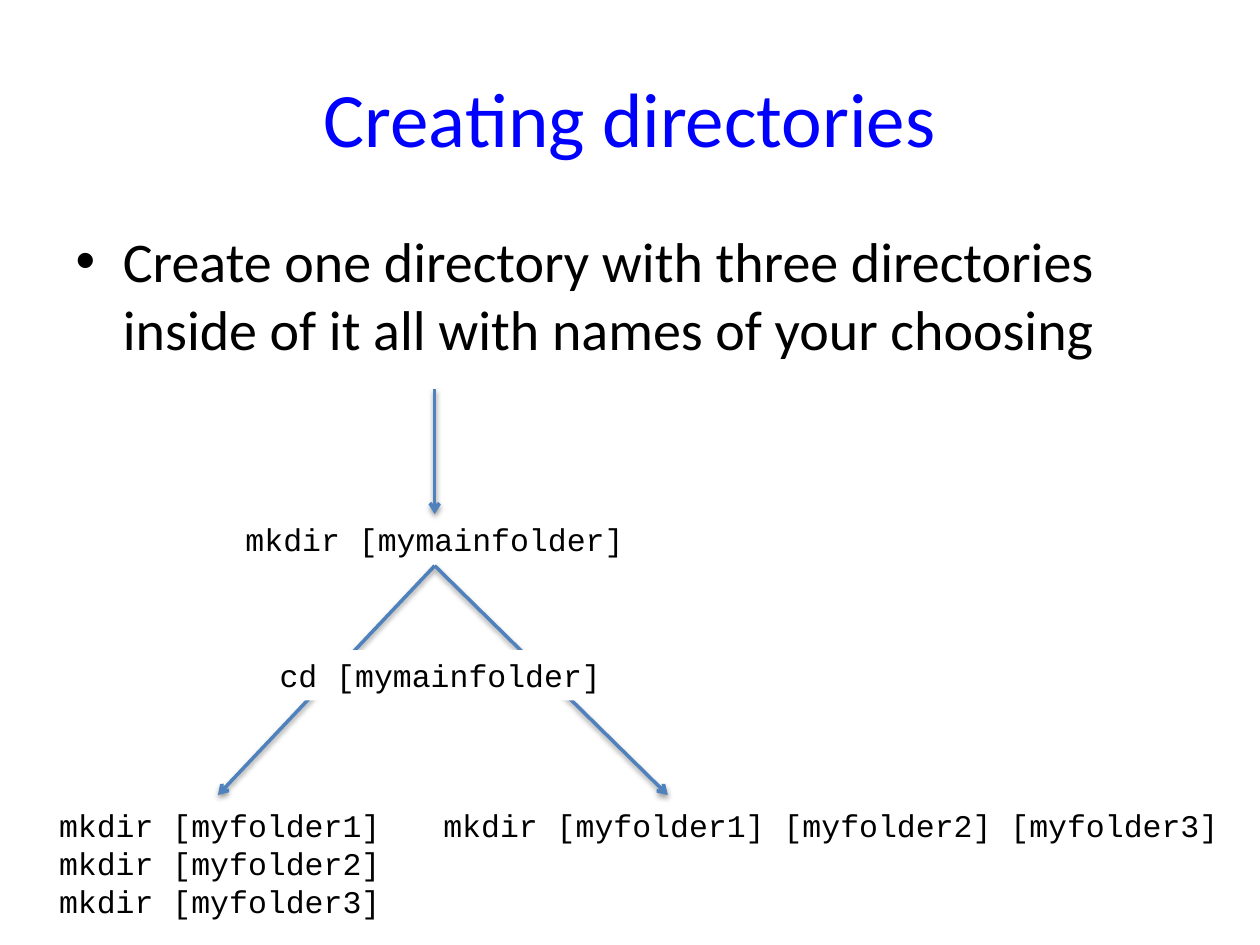
"""Build a slide on creating directories with a small command tree."""
from dataclasses import dataclass

from lxml import etree
from pptx import Presentation
from pptx import util as u
from pptx.dml.color import RGBColor
from pptx.enum import shapes, text
from pptx.oxml.ns import qn


@dataclass(frozen=True)
class Theme:
    """Colours, fonts and type sizes of the slide."""
    title: str = "0000FF"
    ink: str = "000000"
    paper: str = "FFFFFF"
    line: str = "4F81BD"
    sans: str = "Calibri"
    mono: str = "Courier New"
    head: int = 44
    body: int = 32
    code: int = 18


THEME = Theme()


def add_run(par, words, font, size, hue):
    """Add one formatted run to a paragraph."""
    run = par.add_run()
    run.text = words
    run.font.name = font
    run.font.size = u.Pt(size)
    run.font.color.rgb = RGBColor.from_string(hue)


def place(item, left, top, width, height):
    """Move and size an item in inches."""
    item.left, item.top = u.Inches(left), u.Inches(top)
    item.width, item.height = u.Inches(width), u.Inches(height)


def add_head(slide, words):
    """Fill the title placeholder."""
    head = slide.shapes.title
    place(head, 0.5, 0.3, 9, 1.25)
    head.text_frame.vertical_anchor = text.MSO_ANCHOR.MIDDLE
    par = head.text_frame.paragraphs[0]
    par.alignment = text.PP_ALIGN.CENTER
    add_run(par, words, THEME.sans, THEME.head, THEME.title)


def add_list(slide, words):
    """Fill the body placeholder with one bullet."""
    body = slide.placeholders[1]
    place(body, 0.5, 1.75, 9, 1.34)
    par = body.text_frame.paragraphs[0]
    add_run(par, words, THEME.sans, THEME.body, THEME.ink)


def add_code(group, lines, left, top, width, height=0.4, fill=None):
    """Add a box of commands, one paragraph a line."""
    box = group.shapes.add_textbox(
        *map(u.Inches, (left, top, width, height)))
    if fill:
        box.fill.solid()
        box.fill.fore_color.rgb = RGBColor.from_string(fill)
    frame = box.text_frame
    frame.word_wrap = False
    frame.auto_size = text.MSO_AUTO_SIZE.SHAPE_TO_FIT_TEXT
    for i, line in enumerate(lines):
        par = frame.add_paragraph() if i else frame.paragraphs[0]
        add_run(par, line, THEME.mono, THEME.code, THEME.ink)


def add_shade(item):
    """Give a connector a soft shadow below it."""
    props = item._element.spPr
    effect = etree.SubElement(props, qn("a:effectLst"))
    shade = etree.SubElement(
        effect, qn("a:outerShdw"), blurRad=str(u.Pt(3.1)),
        dist=str(u.Pt(1.6)), dir="5400000", rotWithShape="0")
    hue = etree.SubElement(shade, qn("a:srgbClr"), val=THEME.ink)
    etree.SubElement(hue, qn("a:alpha"), val="38000")


def add_arrow(group, start, end):
    """Add a straight arrow from start to end."""
    arrow = group.shapes.add_connector(
        shapes.MSO_CONNECTOR.STRAIGHT, *map(u.Inches, (*start, *end)))
    arrow.line.color.rgb = RGBColor.from_string(THEME.line)
    arrow.line.width = u.Pt(2)
    etree.SubElement(arrow.line._get_or_add_ln(), qn("a:tailEnd"),
                     type="arrow")
    add_shade(arrow)


def add_tree(slide):
    """Draw the commands and the arrows between them."""
    group = slide.shapes.add_group_shape()
    names = [f"[myfolder{i}]" for i in range(1, 4)]
    mid, fork, low = 3.45, 4.49, 6.31
    for end in (1.73, 5.3):
        add_arrow(group, (mid, fork), (end, low))
    add_code(group, ["mkdir " + " ".join(names)], 3.42, 6.35, 6.41)
    add_code(group, [f"mkdir {name}" for name in names],
             0.37, 6.35, 2.78, 1.01)
    add_arrow(group, (mid, 3.09), (mid, 4.08))
    add_code(group, ["mkdir [mymainfolder]"], 1.85, 4.08, 3.23)
    add_code(group, ["cd [mymainfolder]"], 2.12, 5.16, 2.78,
             fill=THEME.paper)


def main():
    """Build and save the slide."""
    deck = Presentation()
    deck.slide_width, deck.slide_height = u.Inches(10), u.Inches(7.5)
    slide = deck.slides.add_slide(deck.slide_layouts[1])
    add_head(slide, "Creating directories")
    add_list(slide, "Create one directory with three directories "
                    "inside of it all with names of your choosing")
    add_tree(slide)
    deck.save("out.pptx")


if __name__ == "__main__":
    main()
